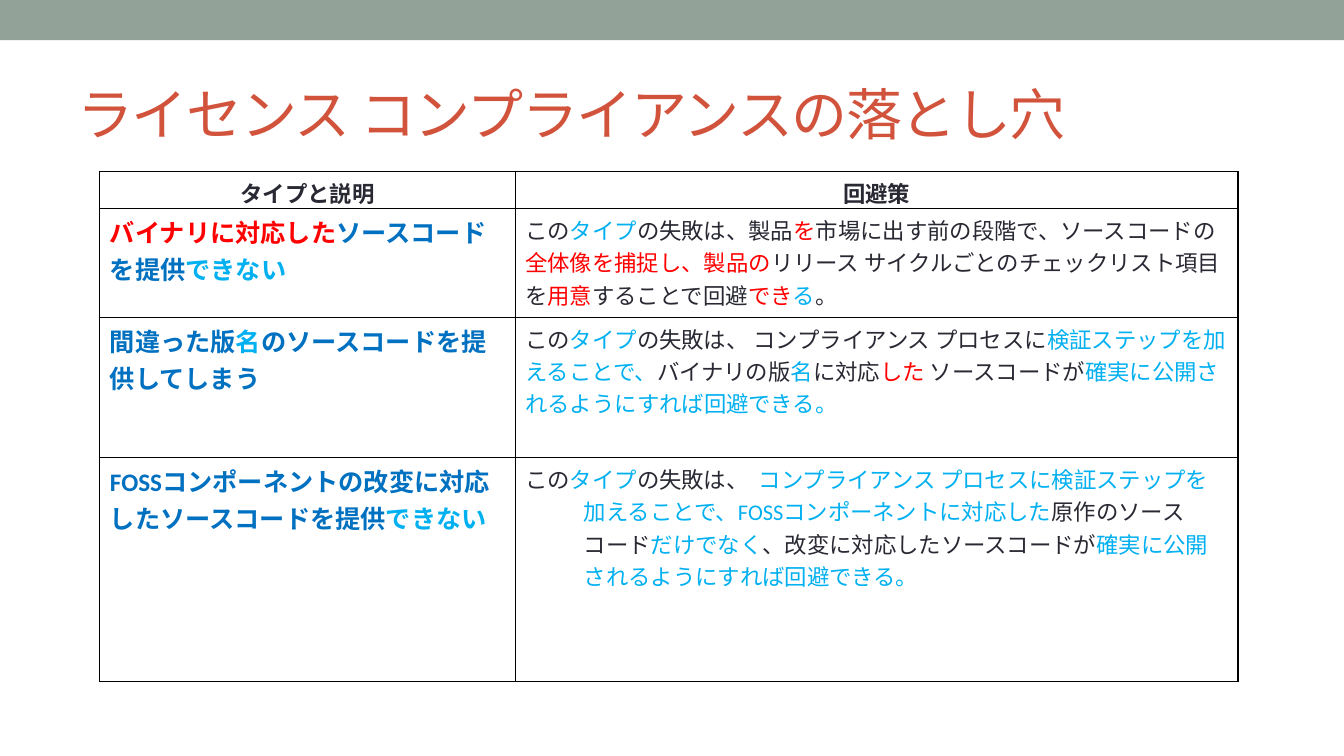
from dataclasses import dataclass

from lxml.etree import SubElement
from pptx import Presentation
from pptx.dml.color import RGBColor
from pptx.enum.shapes import MSO_SHAPE
from pptx.enum.text import MSO_ANCHOR, PP_ALIGN
from pptx.oxml.ns import qn
from pptx.util import Inches, Pt


@dataclass(frozen=True)
class Theme:
    font: str = "Calibri"
    band: RGBColor = RGBColor(0x93, 0xA2, 0x99)
    title: RGBColor = RGBColor(0xD2, 0x53, 0x3C)
    text: RGBColor = RGBColor(0x29, 0x29, 0x34)
    red: RGBColor = RGBColor(0xFF, 0x00, 0x00)
    blue: RGBColor = RGBColor(0x00, 0x70, 0xC0)
    sky: RGBColor = RGBColor(0x00, 0xB0, 0xF0)
    border: str = "000000"
    title_size: Pt = Pt(40)
    type_size: Pt = Pt(18)
    body_size: Pt = Pt(16)


theme = Theme()
TEXT, RED, BLUE, SKY = theme.text, theme.red, theme.blue, theme.sky

headers = ["タイプと説明", "回避策"]
pitfalls = [
    (
        [("バイナリに対応した", RED), ("ソースコードを提供", BLUE), ("できない", SKY)],
        [
            ("この", TEXT), ("タイプ", SKY), ("の失敗は、製品", TEXT), ("を", RED),
            ("市場に出す前の段階で、ソースコードの", TEXT),
            ("全体像を捕捉し、製品の", RED),
            ("リリース サイクルごとのチェックリスト項目を", TEXT), ("用意", RED),
            ("することで回避", TEXT), ("でき", RED), ("る", SKY), ("。", TEXT),
        ],
    ),
    (
        [("間違った版", BLUE), ("名", SKY), ("のソースコードを提供してしまう", BLUE)],
        [
            ("この", TEXT), ("タイプ", SKY),
            ("の失敗は、 コンプライアンス プロセスに", TEXT),
            ("検証ステップを加えることで、", SKY), ("バイナリの版", TEXT), ("名", SKY),
            ("に対応", TEXT), ("した ", RED), ("ソースコードが", TEXT),
            ("確実に公開されるようにすれば回避できる。", SKY),
        ],
    ),
    (
        [("FOSSコンポーネントの改変に対応したソースコードを提供", BLUE), ("できない", SKY)],
        [
            ("この", TEXT), ("タイプ", SKY), ("の失敗は、  ", TEXT),
            ("コンプライアンス プロセスに検証ステップを加えることで、"
             "FOSSコンポーネントに対応した", SKY),
            ("原作のソースコード", TEXT), ("だけでなく", SKY),
            ("、改変に対応したソースコードが", TEXT),
            ("確実に公開されるようにすれば回避できる。", SKY),
        ],
    ),
]


def write_runs(paragraph, runs, size, bold=False):
    paragraph.font.name = theme.font
    paragraph.font.size = size
    paragraph.font.bold = bold
    for text, color in runs:
        run = paragraph.add_run()
        run.text = text
        run.font.color.rgb = color


def add_borders(cell):
    properties = cell._tc.get_or_add_tcPr()
    for position, side in enumerate(("a:lnL", "a:lnR", "a:lnT", "a:lnB")):
        line = SubElement(properties, qn(side), w=str(Pt(1)))
        fill = SubElement(line, qn("a:solidFill"))
        SubElement(fill, qn("a:srgbClr"), val=theme.border)
        properties.remove(line)
        properties.insert(position, line)


presentation = Presentation()
presentation.slide_width = Inches(13.33)
presentation.slide_height = Inches(7.5)
slide = presentation.slides.add_slide(presentation.slide_layouts[6])

band = slide.shapes.add_shape(
    MSO_SHAPE.RECTANGLE, 0, 0, presentation.slide_width, Inches(0.4))
band.shadow.inherit = False
band.fill.solid()
band.fill.fore_color.rgb = theme.band
band.line.fill.background()

title = slide.shapes.add_textbox(Inches(0.67), Inches(0.58), Inches(12), Inches(1.08))
title.text_frame.word_wrap = True
title.text_frame.vertical_anchor = MSO_ANCHOR.MIDDLE
title_paragraph = title.text_frame.paragraphs[0]
write_runs(title_paragraph, [("ライセンス コンプライアンスの落とし穴", theme.title)],
           theme.title_size)
title_paragraph.runs[0]._r.get_or_add_rPr().set("spc", "-100")

column_widths = [4.12, 7.17]
row_heights = [0.37, 1.08, 1.39, 2.22]
table = slide.shapes.add_table(
    len(row_heights), len(column_widths), Inches(0.99), Inches(1.7),
    Inches(sum(column_widths)), Inches(sum(row_heights))).table
for column, width in zip(table.columns, column_widths):
    column.width = Inches(width)
for row, height in zip(table.rows, row_heights):
    row.height = Inches(height)
for cell in table.iter_cells():
    cell.fill.background()
    add_borders(cell)

for column_index, header in enumerate(headers):
    paragraph = table.cell(0, column_index).text_frame.paragraphs[0]
    paragraph.alignment = PP_ALIGN.CENTER
    write_runs(paragraph, [(header, TEXT)], theme.body_size, bold=True)

for row_index, (pitfall, remedy) in enumerate(pitfalls, start=1):
    pitfall_cell, remedy_cell = table.rows[row_index].cells
    write_runs(pitfall_cell.text_frame.paragraphs[0], pitfall, theme.type_size, bold=True)
    write_runs(remedy_cell.text_frame.paragraphs[0], remedy, theme.body_size)

# The last remedy has a hanging indent.
last_remedy = table.cell(len(pitfalls), 1).text_frame.paragraphs[0]
last_properties = last_remedy._p.get_or_add_pPr()
last_properties.set("marL", str(Inches(0.58)))
last_properties.set("indent", str(-Inches(0.58)))

presentation.save("out.pptx")
